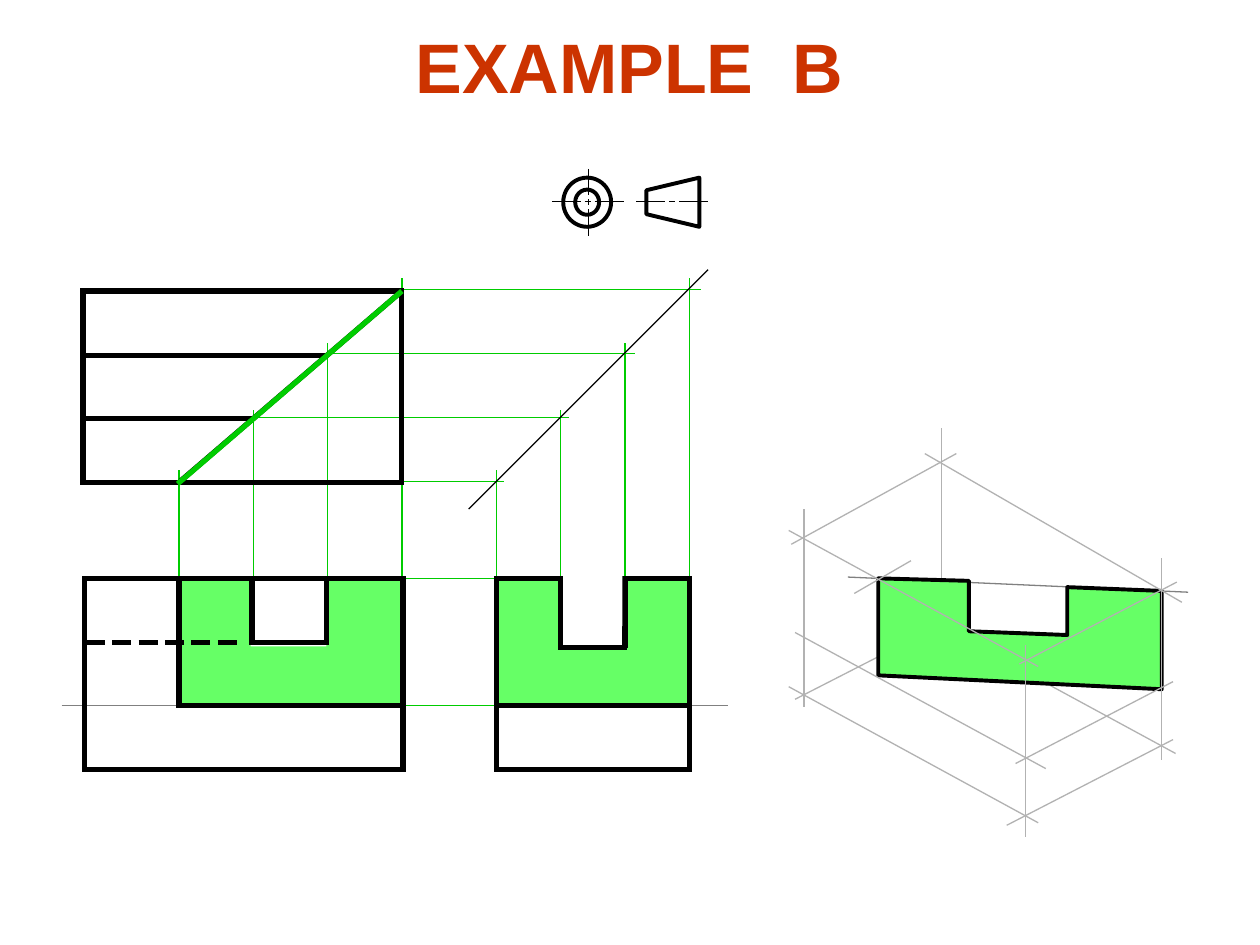
from pptx import Presentation
from pptx.dml.color import RGBColor
from pptx.enum.shapes import MSO_CONNECTOR, MSO_SHAPE as SHAPE
from pptx.enum.text import MSO_ANCHOR, PP_ALIGN
from pptx.oxml.ns import qn
from pptx.util import Inches, Pt
from lxml import etree

COLORS = {"title": "CC3300", "outline": "000000", "projection": "00CC00",
          "section": "66FF66", "trace": "808080", "guide": "B2B2B2",
          "paper": "FFFFFF"}

prs = Presentation()
prs.slide_width, prs.slide_height = Inches(10), Inches(7.5)
slide = prs.slides.add_slide(prs.slide_layouts[6])
shapes = slide.shapes


def draw_line(x1, y1, x2, y2, color, width=0.75):
    line = shapes.add_connector(MSO_CONNECTOR.STRAIGHT, Inches(x1), Inches(y1),
                                Inches(x2), Inches(y2))
    line.line.color.rgb = RGBColor.from_string(COLORS[color])
    line.line.width = Pt(width)
    etree.SubElement(line._element.spPr, qn("a:effectLst"))


def draw_area(shape, fill=None, width=0):
    shape.shadow.inherit = False
    if fill:
        shape.fill.solid()
        shape.fill.fore_color.rgb = RGBColor.from_string(COLORS[fill])
    else:
        shape.fill.background()
    if width:
        shape.line.color.rgb = RGBColor.from_string(COLORS["outline"])
        shape.line.width = Pt(width)
    else:
        shape.line.fill.background()


# Traces of the cutting plane
draw_line(6.73, 4.58, 9.43, 4.7, "trace")
draw_line(0.49, 5.6, 5.78, 5.6, "trace")

# Projection lines between the three views
for i, row_start in enumerate([2.94, 2.47, 1.97, 1.43]):
    row_y = 2.3 + 0.507 * i
    draw_line(row_start, row_y, 5.56 - 0.52 * i, row_y, "projection")
for x, y in [(3.06, 4.59), (3.09, 5.6)]:
    draw_line(x, y, x + 1.01, y, "projection")
for i, top in enumerate([3.73, 3.25, 2.72, 2.21]):
    for first_x, step in [(3.94, 0.51), (1.42, 0.59)]:
        x = first_x + step * i
        draw_line(x, 4.88, x, top, "projection")

# Filled section faces, side and front, then the projection symbol's cone
# and the cut block in the pictorial view
side_face = [(3.94, 5.61), (5.47, 5.61), (5.47, 4.6), (4.96, 4.6),
             (4.96, 5.14), (4.44, 5.14), (4.44, 4.59), (3.93, 4.59)]
front_face = [(1.42, 5.6), (3.18, 5.6), (3.18, 4.59), (2.59, 4.59),
              (2.59, 5.13), (1.99, 5.13), (1.99, 4.58), (1.41, 4.58)]
cone = [(5.55, 1.41), (5.55, 1.8), (5.13, 1.7), (5.13, 1.51)]
cut_block = [(6.97, 5.36), (9.22, 5.47), (9.22, 4.69), (8.47, 4.66),
             (8.47, 5.04), (7.69, 5.01), (7.69, 4.61), (6.97, 4.59)]

# Guide lines behind the cut block
for ends in [(7.47, 3.4, 7.47, 5.11), (6.31, 5.55, 7.64, 4.87),
             (7.34, 4.9, 9.33, 5.98)]:
    draw_line(*ends, "guide")

for points, fill, width in [(side_face, "section", 0), (front_face, "section", 0),
                            (cone, None, 2.25), (cut_block, "section", 2.25)]:
    corners = [(Inches(x), Inches(y)) for x, y in points]
    builder = shapes.build_freeform(*corners[0])
    builder.add_line_segments(corners[1:], close=True)
    draw_area(builder.convert_to_shape(), fill, width)

# Projection symbol: circles and centre lines
circles = shapes.add_shape(SHAPE.DONUT, Inches(4.47), Inches(1.41),
                           Inches(0.38), Inches(0.39))
circles.adjustments[0] = 0.25
draw_area(circles, width=2.25)
for center_x in (4.67, 5.34):
    for start, end in [(-0.29, -0.06), (-0.03, 0.02), (0.05, 0.28)]:
        draw_line(center_x + start, 1.6, center_x + end, 1.6, "outline", 1)
for top, bottom in [(1.34, 1.55), (1.58, 1.63), (1.66, 1.87)]:
    draw_line(4.67, top, 4.67, bottom, "outline", 1)

# Outlines of the top, front and side views
for x, y, width in [(0.66, 2.31, 2.53), (0.67, 4.59, 2.53), (3.94, 4.59, 1.53)]:
    view = shapes.add_shape(SHAPE.RECTANGLE, Inches(x), Inches(y),
                            Inches(width), Inches(1.52))
    draw_area(view, width=3)
    etree.SubElement(view.line._get_or_add_ln(), qn("a:miter"), lim="800000")

# Visible edges inside the views
for ends in [(0.66, 2.82, 2.58, 2.82), (0.66, 3.32, 2, 3.32),
             (1.4, 5.6, 3.19, 5.6), (1.42, 4.59, 1.42, 5.61),
             (3.95, 5.6, 5.46, 5.6), (2, 4.59, 2, 5.11),
             (1.98, 5.1, 2.61, 5.1), (2.59, 4.59, 2.59, 5.11),
             (4.43, 5.14, 4.98, 5.14), (4.45, 4.61, 4.45, 5.14),
             (4.96, 4.61, 4.96, 5.14), (1.43, 3.82, 3.19, 2.31)]:
    draw_line(*ends, "outline", 3)

# Hidden edge of the slot
for i in range(6):
    dash_x = 0.68 + 0.21 * i
    draw_line(dash_x, 5.1, dash_x + 0.15, 5.1, "outline", 3)

# Open top of the slot in the side view
draw_area(shapes.add_shape(SHAPE.RECTANGLE, Inches(4.47), Inches(4.51),
                           Inches(0.47), Inches(0.46)), "paper")

# Title
title = shapes.add_textbox(Inches(3.2), Inches(0.14), Inches(3.59), Inches(0.77))
title.text_frame.word_wrap = False
title.text_frame.vertical_anchor = MSO_ANCHOR.TOP
heading = title.text_frame.paragraphs[0]
heading.text = "EXAMPLE  B"
heading.alignment = PP_ALIGN.CENTER
heading.font.name = "Arial"
heading.font.size = Pt(40)
heading.font.bold = True
heading.font.color.rgb = RGBColor.from_string(COLORS["title"])

# Mitre line and cutting plane in the top view
draw_line(3.72, 4.04, 5.62, 2.14, "outline")
draw_line(1.41, 3.84, 3.19, 2.31, "projection", 3)

# Guide lines in front of the cut block
for ends in [(7.23, 4.45, 6.78, 4.71), (6.28, 4.32, 7.59, 3.6),
             (7.99, 6.55, 9.31, 5.87), (7.34, 3.6, 9.38, 4.78),
             (6.38, 4.04, 6.38, 5.61), (6.26, 5.45, 8.24, 6.53),
             (9.22, 4.43, 9.22, 6.03), (8.14, 5.12, 8.14, 6.64),
             (6.26, 4.21, 8.24, 5.29), (8.09, 5.27, 9.34, 4.62),
             (9.31, 5.41, 8.06, 6.06), (6.31, 5.02, 8.3, 6.1)]:
    draw_line(*ends, "guide")

prs.save("out.pptx")
